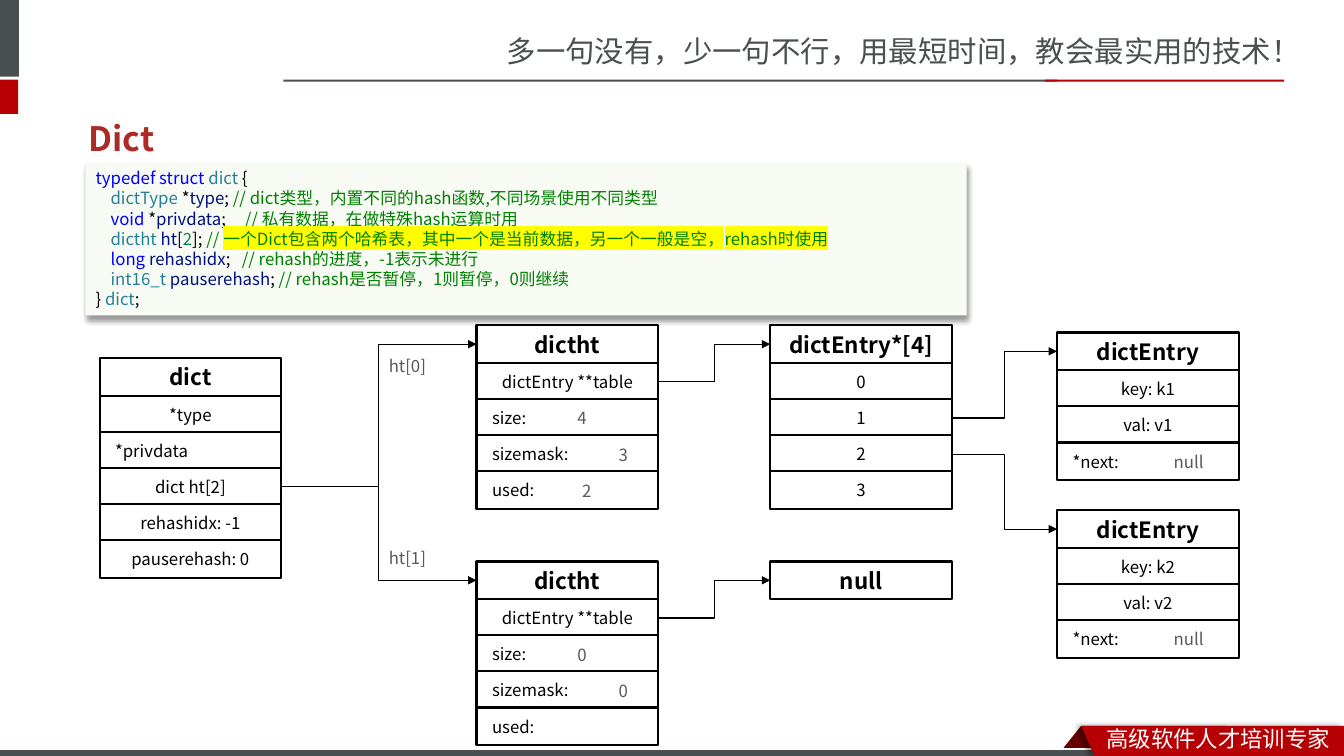
from collections import namedtuple
from dataclasses import dataclass

from lxml.etree import SubElement
from pptx import Presentation
from pptx.dml.color import RGBColor
from pptx.enum.shapes import MSO_CONNECTOR, MSO_SHAPE
from pptx.enum.text import MSO_ANCHOR, PP_ALIGN
from pptx.oxml.ns import qn
from pptx.util import Cm, Pt

Box = namedtuple("Box", "left top width height")
Field = namedtuple("Field", "text value offset", defaults=("", 0))


@dataclass(frozen=True)
class Theme:
    font: str = "Noto Sans CJK SC"
    white: str = "FFFFFF"
    black: str = "000000"
    slate: str = "49504F"
    red: str = "B60004"
    dark_red: str = "680000"
    title: str = "AD2B26"
    panel: str = "F7FBF4"
    value: str = "595959"
    marker: str = "FFFF00"
    keyword: str = "0000FF"
    kind: str = "267F99"
    name: str = "001080"
    number: str = "098658"
    comment: str = "008000"
    slogan_size: float = 21
    title_size: float = 24
    head_size: float = 16
    body_size: float = 12
    code_leading: float = 14.4


THEME = Theme()
ROW_HEIGHT, ROW_STEP = 0.95, 0.91
NODE_WIDTH = 4.58
INDENT = "    "

CODE = [
    [("keyword", "typedef struct "), ("kind", "dict"), ("black", " {")],
    [("kind", INDENT + "dictType"), ("black", " *"), ("name", "type"), ("black", ";"),
     ("comment", " // dict类型，内置不同的hash函数,不同场景使用不同类型")],
    [("keyword", INDENT + "void"), ("black", " *"), ("name", "privdata"), ("black", ";     "),
     ("comment", "// 私有数据，在做特殊hash运算时用")],
    [("kind", INDENT + "dictht "), ("name", "ht"), ("black", "["), ("number", "2"),
     ("black", "];"), ("comment", " // "),
     ("marked", "一个Dict包含两个哈希表，其中一个是当前数据，另一个一般是空，rehash时使用")],
    [("keyword", INDENT + "long "), ("name", "rehashidx"), ("black", ";   "),
     ("comment", "// rehash的进度，-1表示未进行")],
    [("kind", INDENT + "int16_t "), ("name", "pauserehash"), ("black", ";"),
     ("comment", " // rehash是否暂停，1则暂停，0则继续")],
    [("black", "} "), ("kind", "dict"), ("black", ";")],
]


def colour(value):
    return RGBColor.from_string(value)


def inside(box, left, top, width, height):
    return Box(box.left + left, box.top + top, width, height)


def lengths(box):
    return [Cm(length) for length in box]


def style(para, size, ink=None, bold=False):
    font = para.font
    font.size, font.bold = Pt(size), bold
    if ink:
        font.color.rgb = colour(ink)
    font.name = THEME.font
    SubElement(font._element, qn("a:ea"), typeface=THEME.font)


def paint(shape, fill, line=None):
    shape.shadow.inherit = False
    shape.fill.solid()
    shape.fill.fore_color.rgb = colour(fill)
    if line:
        shape.line.color.rgb = colour(line)
        shape.line.width = Pt(1.5)
    else:
        shape.line.fill.background()


def add_shadow(shape, degrees):
    effects = shape._element.spPr.find(qn("a:effectLst"))
    shadow = SubElement(effects, qn("a:outerShdw"), blurRad=str(Pt(4)), dist=str(Pt(3)),
                        dir=str(degrees * 60000), algn="t", rotWithShape="0")
    ink = SubElement(shadow, qn("a:srgbClr"), val=THEME.black)
    SubElement(ink, qn("a:alpha"), val="40000")


def add_block(page, box, fill, line=None, preset=MSO_SHAPE.RECTANGLE):
    shape = page.shapes.add_shape(preset, *lengths(box))
    paint(shape, fill, line)
    return shape


def add_label(page, box, text, size, ink, wrap=True):
    frame = page.shapes.add_textbox(*lengths(box)).text_frame
    frame.word_wrap = wrap
    frame.text = text
    style(frame.paragraphs[0], size, ink)


def add_header(page, box):
    add_label(page, inside(box, 12.52, 0.71, 21.35, 1.19),
              "多一句没有，少一句不行，用最短时间，教会最实用的技术！", THEME.slogan_size, THEME.slate)
    add_block(page, inside(box, 0, 0, 0.48, 1.93), THEME.slate)
    add_block(page, inside(box, 0, 2.01, 0.46, 0.86), THEME.red)
    add_block(page, inside(box, 7.14, 2.01, 19.5, 0.05), THEME.slate)
    add_block(page, inside(box, 26.34, 2.01, 6.02, 0.05), THEME.red)


def add_footer(page, box):
    fold = add_block(page, inside(box, 26.64, 0, 4.27, box.height), THEME.dark_red,
                     preset=MSO_SHAPE.PARALLELOGRAM)
    fold.adjustments[0] = 0.8
    add_block(page, inside(box, 0, 0.56, box.width, 0.2), THEME.white)
    add_block(page, inside(box, 0, 0.61, 27.91, 0.15), THEME.slate)
    right, bottom = box.left + box.width, box.top + box.height
    builder = page.shapes.build_freeform(Cm(box.left + 27.25), Cm(box.top))
    corners = [(right, box.top), (right, bottom), (box.left + 27.58, bottom)]
    builder.add_line_segments([(Cm(x), Cm(y)) for x, y in corners])
    ribbon = builder.convert_to_shape()
    paint(ribbon, THEME.red)
    add_shadow(ribbon, 180)
    add_label(page, inside(box, 27.64, -0.13, 6.22, 0.89), "高级软件人才培训专家",
              THEME.head_size, THEME.white)


def add_title(page, box):
    title = page.shapes.title
    title.left, title.top, title.width, title.height = lengths(box)
    frame = title.text_frame
    frame.text = "Dict"
    frame.vertical_anchor = MSO_ANCHOR.MIDDLE
    para = frame.paragraphs[0]
    para.alignment = PP_ALIGN.LEFT
    para.space_before = Pt(0)
    style(para, THEME.title_size, THEME.title, bold=True)


def add_code(page, box):
    panel = add_block(page, box, THEME.panel)
    add_shadow(panel, 90)
    frame = panel.text_frame
    frame.word_wrap = True
    frame.vertical_anchor = MSO_ANCHOR.TOP
    for index, spans in enumerate(CODE):
        para = frame.add_paragraph() if index else frame.paragraphs[0]
        para.alignment = PP_ALIGN.LEFT
        para.line_spacing = Pt(THEME.code_leading)
        style(para, THEME.body_size)
        for role, text in spans:
            span = para.add_run()
            span.text = text
            marked = role == "marked"
            span.font.color.rgb = colour(getattr(THEME, "comment" if marked else role))
            if marked:
                highlight = SubElement(span.font._element, qn("a:highlight"))
                SubElement(highlight, qn("a:srgbClr"), val=THEME.marker)


def add_node(page, box, rows):
    cells = []
    for index, row in enumerate(rows):
        top = ROW_HEIGHT + (index - 1) * ROW_STEP if index else 0
        cell = add_block(page, inside(box, 0, top, box.width, ROW_HEIGHT), THEME.white, THEME.black)
        field = row if isinstance(row, Field) else None
        frame = cell.text_frame
        frame.margin_left, frame.margin_right = Cm(0.39 if field else 0), 0
        frame.vertical_anchor = MSO_ANCHOR.MIDDLE
        frame.text = field.text if field else row
        para = frame.paragraphs[0]
        para.alignment = PP_ALIGN.LEFT if field else PP_ALIGN.CENTER
        style(para, THEME.body_size if index else THEME.head_size, THEME.black, bold=index == 0)
        if field and field.value:
            add_label(page, inside(box, field.offset, top + 0.1, 1.7, 0.76), field.value,
                      THEME.body_size, THEME.value)
        cells.append(cell)
    return cells


def add_link(page, source, target):
    link = page.shapes.add_connector(MSO_CONNECTOR.ELBOW, 0, 0, 0, 0)
    link.begin_connect(source, 3)
    link.end_connect(target, 1)
    link.line.color.rgb = colour(THEME.black)
    link.line.width = Pt(0.75)
    SubElement(link.line._get_or_add_ln(), qn("a:tailEnd"), type="triangle")
    SubElement(link._element.spPr, qn("a:effectLst"))


def hash_table(size, mask, used):
    return ["dictht", "dictEntry **table", Field("size:", size, 2.29),
            Field("sizemask:", mask, 3.33), Field("used:", used, 2.41)]


def entry(number):
    return ["dictEntry", f"key: k{number}", f"val: v{number}", Field("*next:", "null", 2.69)]


def add_diagram(page, box):
    def node(left, top, rows):
        return add_node(page, inside(box, left, top, NODE_WIDTH, len(rows) * ROW_STEP), rows)

    owner = node(0, 0.82, ["dict", "*type", Field("*privdata"), "dict ht[2]",
                           "rehashidx: -1", "pauserehash: 0"])
    tables = [node(9.5, 0, hash_table("4", "3", "2")), node(9.5, 5.95, hash_table("0", "0", ""))]
    buckets = node(16.9, 0, ["dictEntry*[4]", "0", "1", "2", "3"])
    empty = node(16.9, 5.95, ["null"])
    entries = [node(24.13, 0.18, entry(1)), node(24.13, 4.66, entry(2))]
    links = [(owner[3], tables[0][0]), (owner[3], tables[1][0]),
             (tables[0][1], buckets[0]), (tables[1][1], empty[0]),
             (buckets[2], entries[0][0]), (buckets[3], entries[1][0])]
    for source, target in links:
        add_link(page, source, target)
    for index, top in enumerate((0.64, 5.49)):
        add_label(page, inside(box, 7.04, top, 1.8, 0.76), f"ht[{index}]",
                  THEME.body_size, THEME.value, wrap=False)


def main():
    deck = Presentation()
    deck.slide_width, deck.slide_height = Cm(33.87), Cm(19.05)
    page = deck.slides.add_slide(deck.slide_layouts[5])
    add_header(page, Box(0, 0, 33.87, 2.9))
    add_footer(page, Box(0, 18.29, 33.87, 0.76))
    add_title(page, Box(1.98, 2.95, 29.72, 1.07))
    add_code(page, Box(2.16, 4.11, 22.2, 3.84))
    add_diagram(page, Box(2.51, 8.2, 28.71, 10.6))
    deck.save("out.pptx")


if __name__ == "__main__":
    main()
